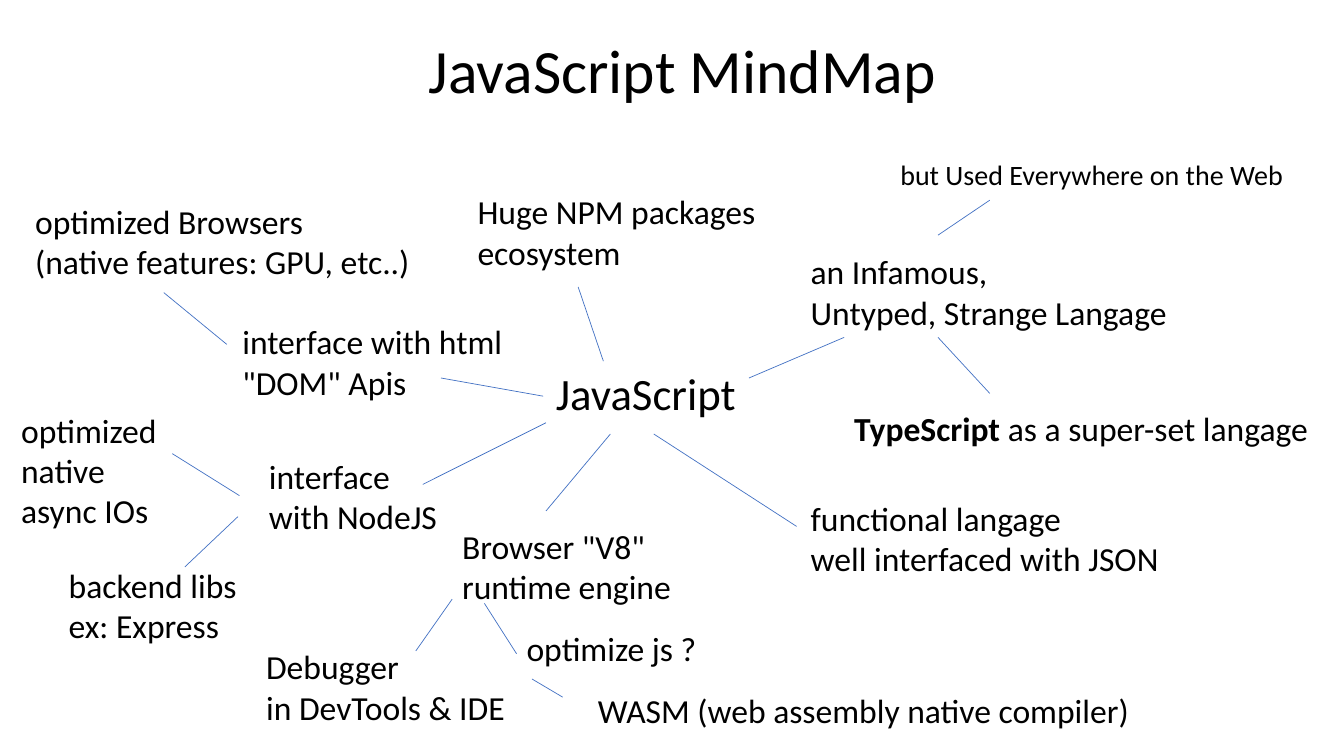
from collections import namedtuple
from dataclasses import dataclass

from lxml.etree import SubElement
from pptx import Presentation
from pptx.dml.color import RGBColor
from pptx.enum.shapes import MSO_CONNECTOR
from pptx.enum.text import MSO_ANCHOR, MSO_AUTO_SIZE, PP_ALIGN
from pptx.oxml.ns import qn
from pptx.util import Pt


@dataclass(frozen=True)
class Theme:
    font: str = "Calibri"
    ink: RGBColor = RGBColor(0, 0, 0)
    line: RGBColor = RGBColor(0x44, 0x72, 0xC4)
    title: int = 44
    root: int = 32
    idea: int = 24
    aside: int = 20
    stroke: float = 0.5


THEME = Theme()
Box = namedtuple("Box", "x y w h")
# An idea has a place in the map and a link (x1, y1, x2, y2) from its parent
Idea = namedtuple("Idea", "text x y w link size bold", defaults=(THEME.idea, ""))

ROOT = Idea("JavaScript", 390, 150, 145, None, THEME.root)

# Each branch starts with its main idea, followed by the details
BRANCHES = [
    # Language
    [
        Idea("an Infamous,\nUntyped, Strange Langage", 572, 68, 271,
             (535, 162, 603, 133)),
        Idea("but Used Everywhere on the Web", 636, 1, 290,
             (670, 60, 707, 35), THEME.aside),
        Idea("TypeScript as a super-set langage", 603, 180, 343,
             (670, 133, 707, 173), bold="TypeScript"),
    ],
    # Functional side
    [
        Idea("functional langage\nwell interfaced with JSON", 572, 244, 266,
             (467, 202, 569, 268)),
    ],
    # Runtime engine
    [
        Idea('Browser "V8"\nruntime engine', 323, 264, 166,
             (436, 202, 390, 257)),
        Idea("Debugger\nin DevTools & IDE", 183, 350, 186,
             (323, 320, 297, 357)),
        Idea("optimize js ?", 369, 337, 137, (346, 323, 369, 359)),
        Idea("WASM (web assembly native compiler)", 420, 381, 397,
             (402, 390, 380, 377)),
    ],
    # Browser interface
    [
        Idea('interface with html\n"DOM" Apis', 166, 118, 207,
             (388, 175, 315, 162)),
        Idea("optimized Browsers\n(native features: GPU, etc..)", 18, 32, 284,
             (162, 138, 117, 101)),
    ],
    # Packages
    [
        Idea("Huge NPM packages\necosystem", 334, 25, 215,
             (431, 150, 413, 97)),
    ],
    # Server interface
    [
        Idea("interface\nwith NodeJS", 185, 214, 135, (390, 194, 302, 238)),
        Idea("optimized\nnative\nasync IOs", 8, 181, 118,
             (171, 246, 123, 216)),
        Idea("backend libs\nex: Express", 42, 292, 135,
             (170, 261, 132, 297)),
    ],
]


def style(para, size):
    for run in para.runs:
        run.font.name = THEME.font
        run.font.size = Pt(size)
        run.font.color.rgb = THEME.ink


def add_title(slide, box):
    frame = slide.shapes.add_textbox(*map(Pt, box)).text_frame
    frame.word_wrap = True
    frame.vertical_anchor = MSO_ANCHOR.MIDDLE
    frame.text = "JavaScript MindMap"
    para = frame.paragraphs[0]
    para.alignment = PP_ALIGN.CENTER
    para.line_spacing = 0.9
    style(para, THEME.title)


def add_link(slide, box, ends):
    x1, y1, x2, y2 = ends
    link = slide.shapes.add_connector(
        MSO_CONNECTOR.STRAIGHT, Pt(box.x + x1), Pt(box.y + y1),
        Pt(box.x + x2), Pt(box.y + y2))
    link.line.color.rgb = THEME.line
    link.line.width = Pt(THEME.stroke)
    SubElement(link._element.spPr, qn("a:effectLst"))


def add_idea(slide, box, idea):
    # Height follows from the line count plus the box margins
    rows = idea.text.count("\n") + 1
    high = 7.2 + rows * idea.size * 1.22
    label = slide.shapes.add_textbox(
        Pt(box.x + idea.x), Pt(box.y + idea.y), Pt(idea.w), Pt(high))
    frame = label.text_frame
    frame.word_wrap = False
    frame.auto_size = MSO_AUTO_SIZE.SHAPE_TO_FIT_TEXT
    frame.text = idea.text
    if idea.bold:
        para = frame.paragraphs[0]
        para.text = idea.bold
        para.runs[0].font.bold = True
        para.add_run().text = idea.text.removeprefix(idea.bold)
    for para in frame.paragraphs:
        style(para, idea.size)


def add_map(slide, box):
    add_idea(slide, box, ROOT)
    for branch in BRANCHES:
        for idea in branch:
            add_link(slide, box, idea.link)
            add_idea(slide, box, idea)


def main():
    deck = Presentation()
    deck.slide_width, deck.slide_height = Pt(960), Pt(540)
    slide = deck.slides.add_slide(deck.slide_layouts[6])
    add_title(slide, Box(73.5, 0, 828, 104.4))
    add_map(slide, Box(0, 108, 960, 432))
    deck.save("out.pptx")


if __name__ == "__main__":
    main()
